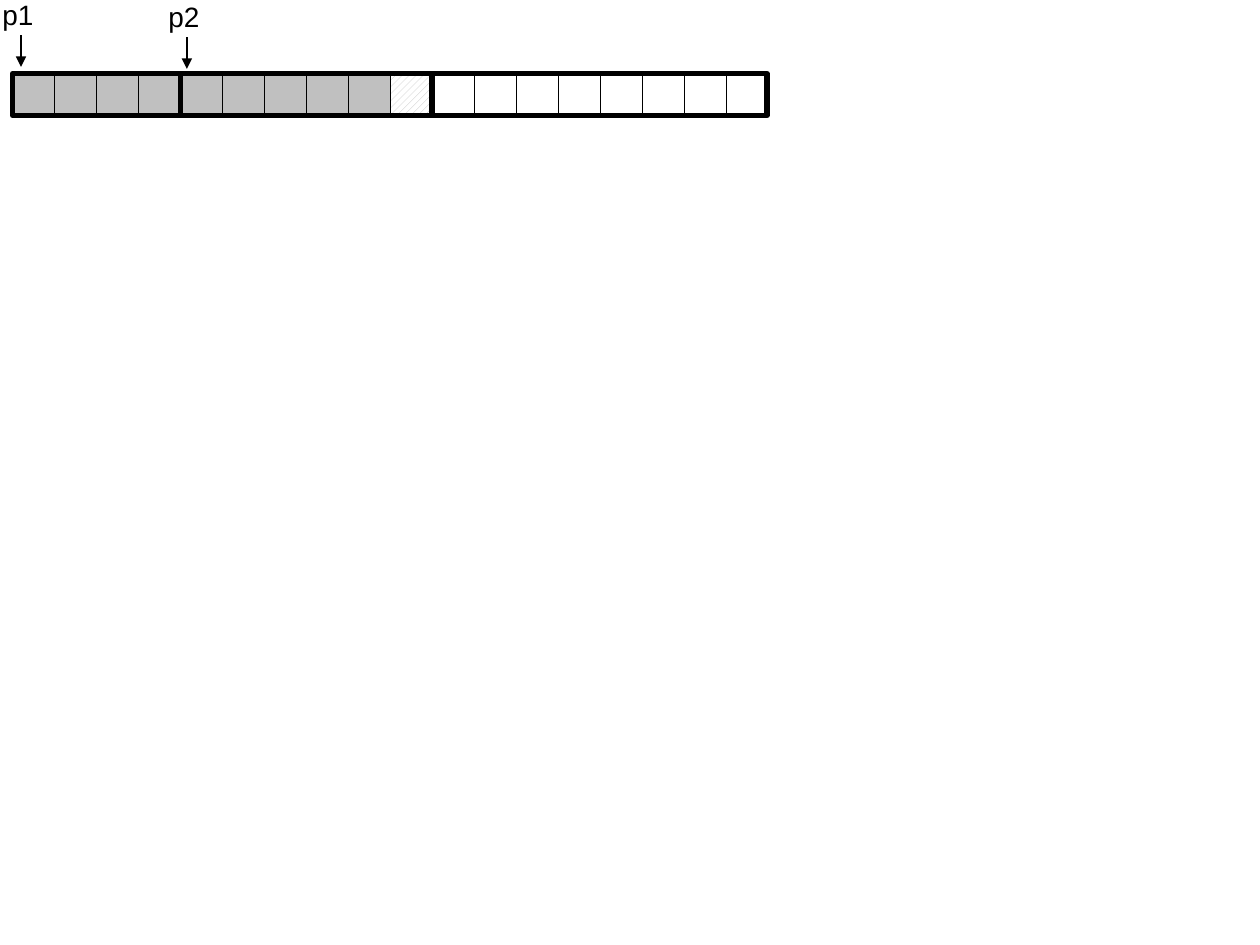
"""Build a slide showing a segmented memory array with two pointers."""
from dataclasses import dataclass

from lxml.etree import SubElement
from pptx import Presentation
from pptx.dml.color import RGBColor
from pptx.enum.dml import MSO_PATTERN
from pptx.enum.shapes import MSO_CONNECTOR, MSO_SHAPE
from pptx.enum.text import MSO_ANCHOR, MSO_AUTO_SIZE, PP_ALIGN
from pptx.oxml.ns import qn
from pptx.shapes.autoshape import Shape
from pptx.slide import Slide
from pptx.util import Pt

COLORS = {"black": "000000", "used": "C0C0C0", "free": "FFFFFF"}
FONT = "Arial"
CELL = 24
ARRAY_LEFT = 7.2
ARRAY_TOP = 42
USED_CELLS = 9
CELL_COUNT = 18
ARROW_LENGTH = 18
LABEL_WIDTH, LABEL_HEIGHT = 32.4, 26.6


@dataclass(frozen=True)
class Segment:
    left: float
    cells: int


@dataclass(frozen=True)
class Pointer:
    label: str
    label_left: float
    label_top: float
    arrow_x: float
    arrow_top: float


SEGMENTS = (
    Segment(ARRAY_LEFT, 4),
    Segment(ARRAY_LEFT + 4 * CELL, 6),
    Segment(246.4, 8),
)
POINTERS = (
    Pointer("p1", -6, -5, 12, 20.2),
    Pointer("p2", 88.8, -3.8, 106.8, 21.4),
)


def color(name: str) -> RGBColor:
    """Return the named palette color."""
    return RGBColor.from_string(COLORS[name])


def add_box(slide: Slide, left: float, cells: int, line_width: float) -> Shape:
    """Add a black-outlined rectangle spanning whole cells."""
    box = slide.shapes.add_shape(
        MSO_SHAPE.RECTANGLE, Pt(left), Pt(ARRAY_TOP), Pt(cells * CELL), Pt(CELL)
    )
    box.shadow.inherit = False
    box.line.color.rgb = color("black")
    box.line.width = Pt(line_width)
    return box


def add_cell(slide: Slide, index: int) -> None:
    """Add one array cell, filled by its state."""
    fill = add_box(slide, ARRAY_LEFT + index * CELL, 1, 0.25).fill
    if index == USED_CELLS:
        fill.patterned()
        fill.pattern = MSO_PATTERN.WIDE_UPWARD_DIAGONAL
        fill.fore_color.rgb = color("used")
        fill.back_color.rgb = color("free")
    else:
        fill.solid()
        fill.fore_color.rgb = color("used" if index < USED_CELLS else "free")


def add_segment(slide: Slide, segment: Segment) -> None:
    """Add the heavy frame around a segment."""
    add_box(slide, segment.left, segment.cells, 3).fill.background()


def add_pointer(slide: Slide, pointer: Pointer) -> None:
    """Add a pointer label and its downward arrow."""
    label = slide.shapes.add_textbox(
        Pt(pointer.label_left), Pt(pointer.label_top), Pt(LABEL_WIDTH), Pt(LABEL_HEIGHT)
    )
    frame = label.text_frame
    frame.word_wrap = False
    frame.auto_size = MSO_AUTO_SIZE.SHAPE_TO_FIT_TEXT
    frame.vertical_anchor = MSO_ANCHOR.MIDDLE
    paragraph = frame.paragraphs[0]
    paragraph.text = pointer.label
    paragraph.alignment = PP_ALIGN.CENTER
    paragraph.font.name = FONT
    paragraph.font.size = Pt(16)
    paragraph.font.color.rgb = color("black")

    arrow = slide.shapes.add_connector(
        MSO_CONNECTOR.STRAIGHT,
        Pt(pointer.arrow_x),
        Pt(pointer.arrow_top),
        Pt(pointer.arrow_x),
        Pt(pointer.arrow_top + ARROW_LENGTH),
    )
    arrow.line.color.rgb = color("black")
    arrow.line.width = Pt(1)
    properties = arrow._element.spPr
    SubElement(properties.find(qn("a:ln")), qn("a:tailEnd"), type="triangle")
    SubElement(properties, qn("a:effectLst"))


def main() -> None:
    """Create and save the presentation."""
    presentation = Presentation()
    presentation.slide_width = Pt(720)
    presentation.slide_height = Pt(540)
    slide = presentation.slides.add_slide(presentation.slide_layouts[6])
    for index in range(CELL_COUNT):
        add_cell(slide, index)
    for pointer in POINTERS:
        add_pointer(slide, pointer)
    for segment in SEGMENTS:
        add_segment(slide, segment)
    presentation.save("out.pptx")


if __name__ == "__main__":
    main()
